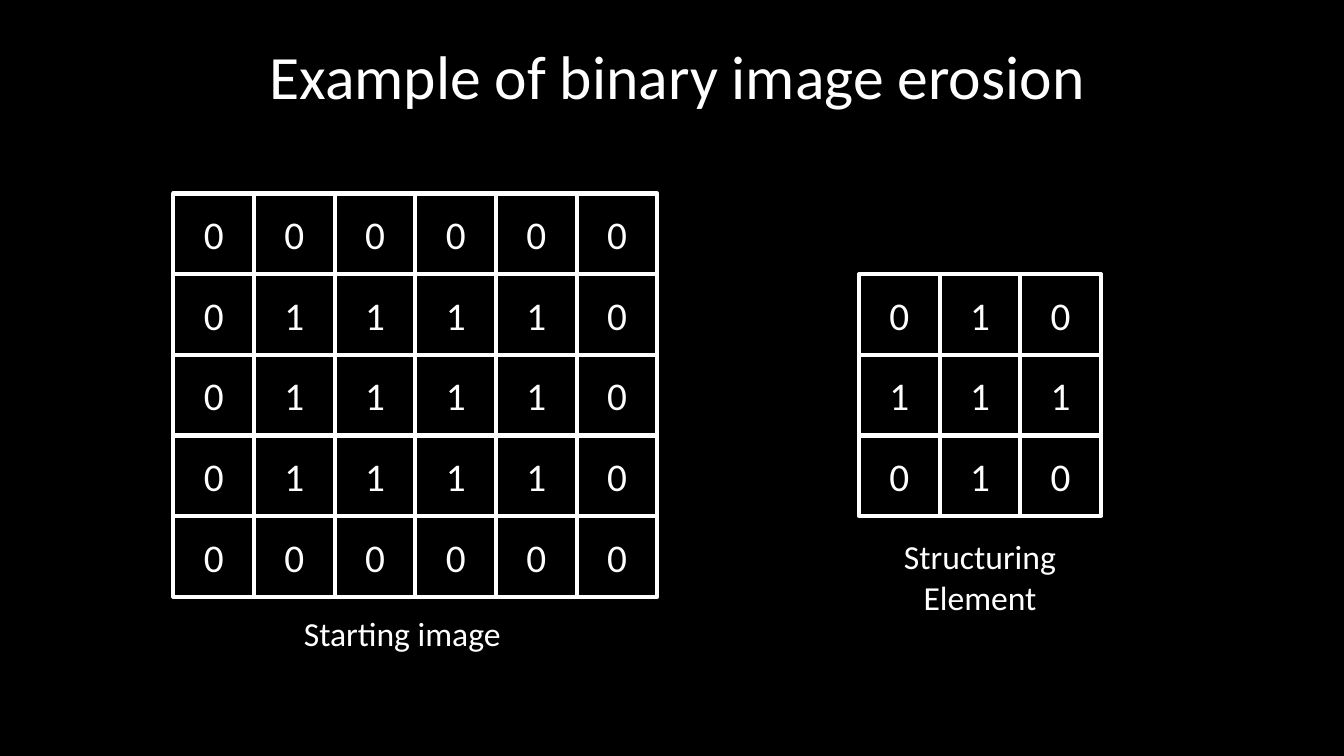
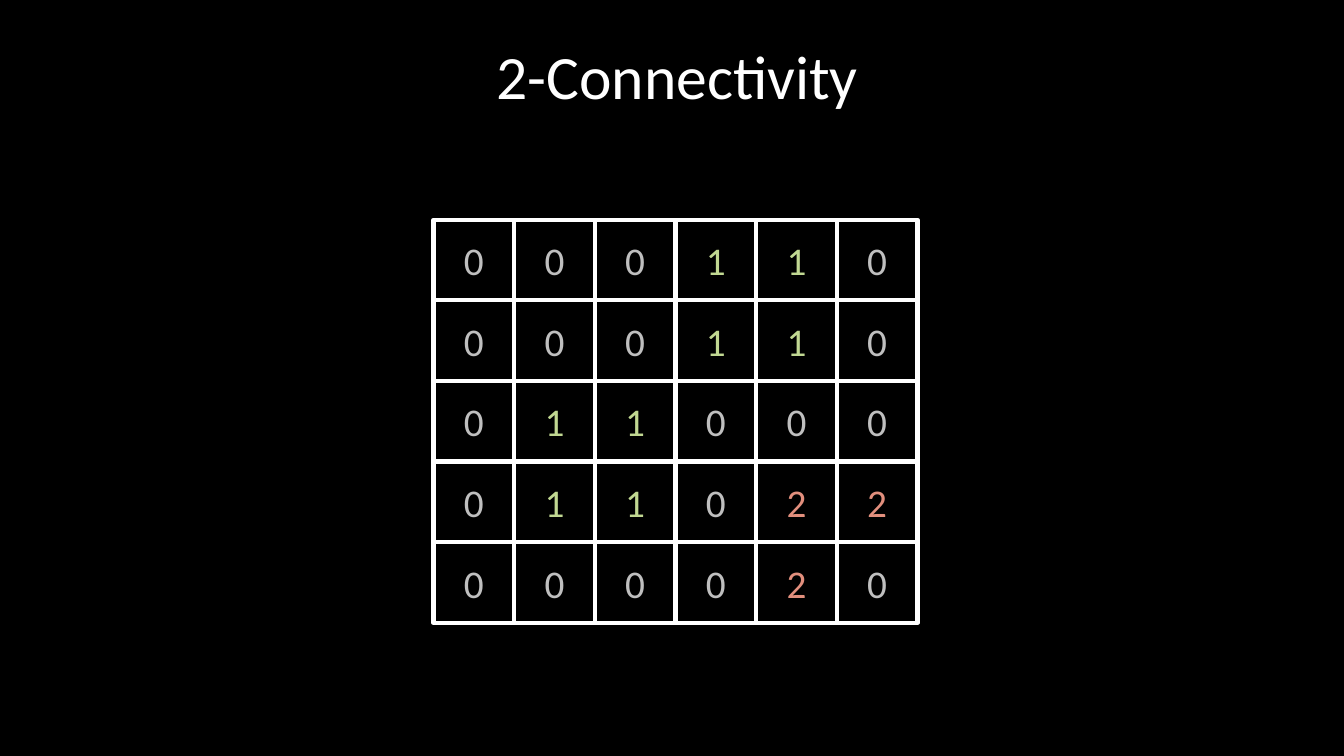
from pptx import Presentation
from pptx.dml.color import RGBColor
from pptx.enum.shapes import MSO_SHAPE as Shape
from pptx.enum.text import MSO_ANCHOR as Anchor, MSO_AUTO_SIZE as Fit, PP_ALIGN as Align
from pptx.util import Emu, Pt

# Shared look; lengths in px, 100 to the inch
PX = 9144
WIDTH, HEIGHT = 1333, 750
CELL = 80
BLACK, WHITE = "000000", "FFFFFF"
GREY, GREEN, RED = "BFBFBF", "C1D892", "E28F7D"
FONT = "Calibri"
TITLE = {"left": 97, "top": 6, "width": 1150, "height": 145}
SIZES = {"title": 44, "cell": 28, "label": 24}

# Content: each grid has its corner and rows, each label its box and lines
SLIDES = [
    {
        "title": "Example of binary image erosion",
        "fill": None,
        "inks": {"0": WHITE, "1": WHITE},
        "grids": [
            ((172, 192), ["000000", "011110", "011110", "011110", "000000"]),
            ((852, 272), ["010", "111", "010"]),
        ],
        "labels": [
            ((266, 603, 266, 91), ["Starting image"]),
            ((839, 527, 266, 131), ["Structuring", "Element"]),
        ],
    },
    {
        "title": "2-Connectivity",
        "fill": BLACK,
        "inks": {"0": GREY, "1": GREEN, "2": RED},
        "grids": [
            ((430, 218), ["000110", "000110", "011000", "011022", "000020"]),
        ],
        "labels": [],
    },
]


def px(n):
    return Emu(n * PX)


def rgb(code):
    return RGBColor.from_string(code)


def write(frame, lines, role, ink=WHITE, **para):
    """Fill a frame with centred lines in the style of one role."""
    frame.word_wrap = True
    frame.text = "\n".join(lines)
    for line in frame.paragraphs:
        for name, value in {"alignment": Align.CENTER, **para}.items():
            setattr(line, name, value)
        font = line.runs[0].font
        for name, value in {"name": FONT, "size": Pt(SIZES[role])}.items():
            setattr(font, name, value)
        font.color.rgb = rgb(ink)


def add_title(slide, text):
    title = slide.shapes.title
    for name, value in TITLE.items():
        setattr(title, name, px(value))
    title.text_frame.vertical_anchor = Anchor.MIDDLE
    write(title.text_frame, [text], "title", line_spacing=0.9)


def add_cell(group, x, y, digit, ink, fill):
    cell = group.shapes.add_shape(Shape.RECTANGLE, px(x), px(y), px(CELL), px(CELL))
    cell.shadow.inherit = False
    if fill:
        cell.fill.solid()
        cell.fill.fore_color.rgb = rgb(fill)
    else:
        cell.fill.background()
    cell.line.color.rgb = rgb(WHITE)
    cell.line.width = Pt(3)
    cell.text_frame.vertical_anchor = Anchor.MIDDLE
    write(cell.text_frame, [digit], "cell", ink)


def add_grid(slide, corner, rows, inks, fill):
    left, top = corner
    group = slide.shapes.add_group_shape()
    for r, row in enumerate(rows):
        for c, digit in enumerate(row):
            add_cell(group, left + c * CELL, top + r * CELL, digit, inks[digit], fill)


def add_label(slide, box, lines):
    frame = slide.shapes.add_textbox(*map(px, box)).text_frame
    write(frame, lines, "label")
    frame.auto_size = Fit.SHAPE_TO_FIT_TEXT


def main():
    deck = Presentation()
    deck.slide_width, deck.slide_height = px(WIDTH), px(HEIGHT)
    back = deck.slide_master.background.fill
    back.solid()
    back.fore_color.rgb = rgb(BLACK)

    for data in SLIDES:
        slide = deck.slides.add_slide(deck.slide_layouts[5])
        add_title(slide, data["title"])
        for corner, rows in data["grids"]:
            add_grid(slide, corner, rows, data["inks"], data["fill"])
        for box, lines in data["labels"]:
            add_label(slide, box, lines)

    deck.save("out.pptx")


if __name__ == "__main__":
    main()
